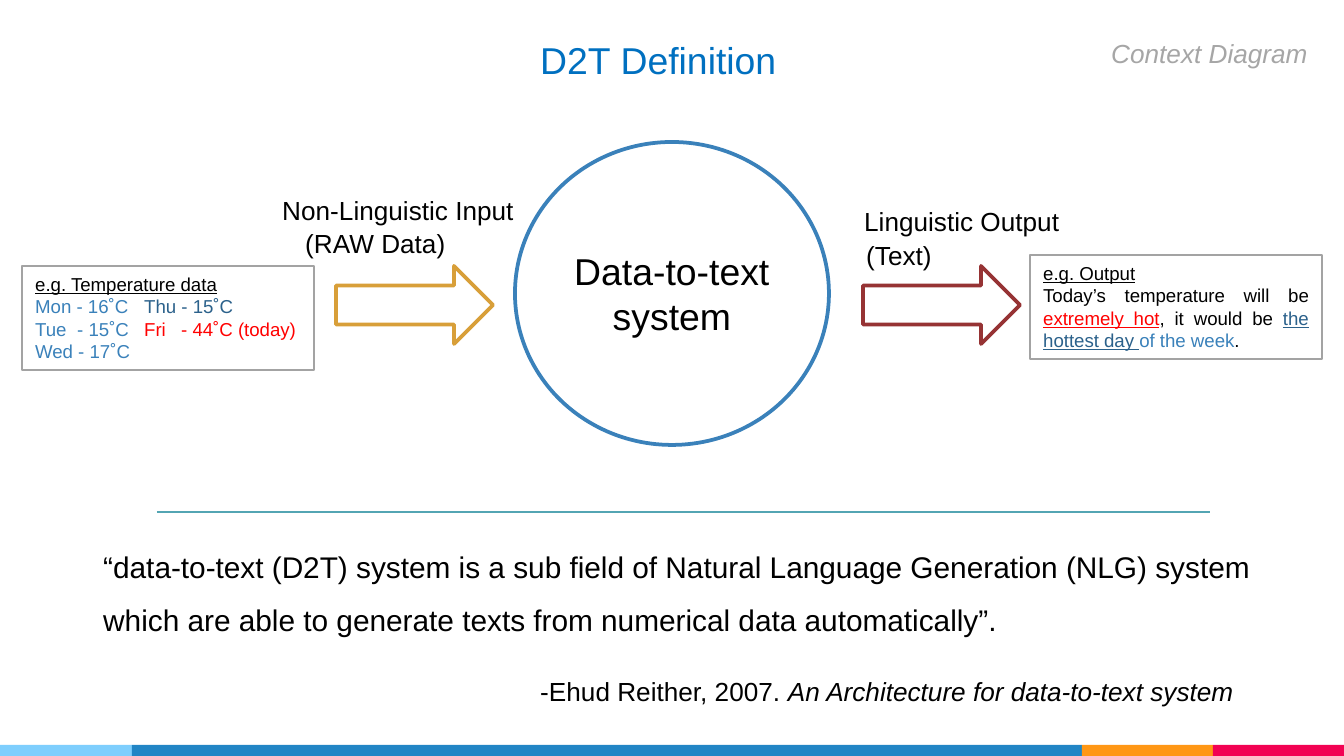
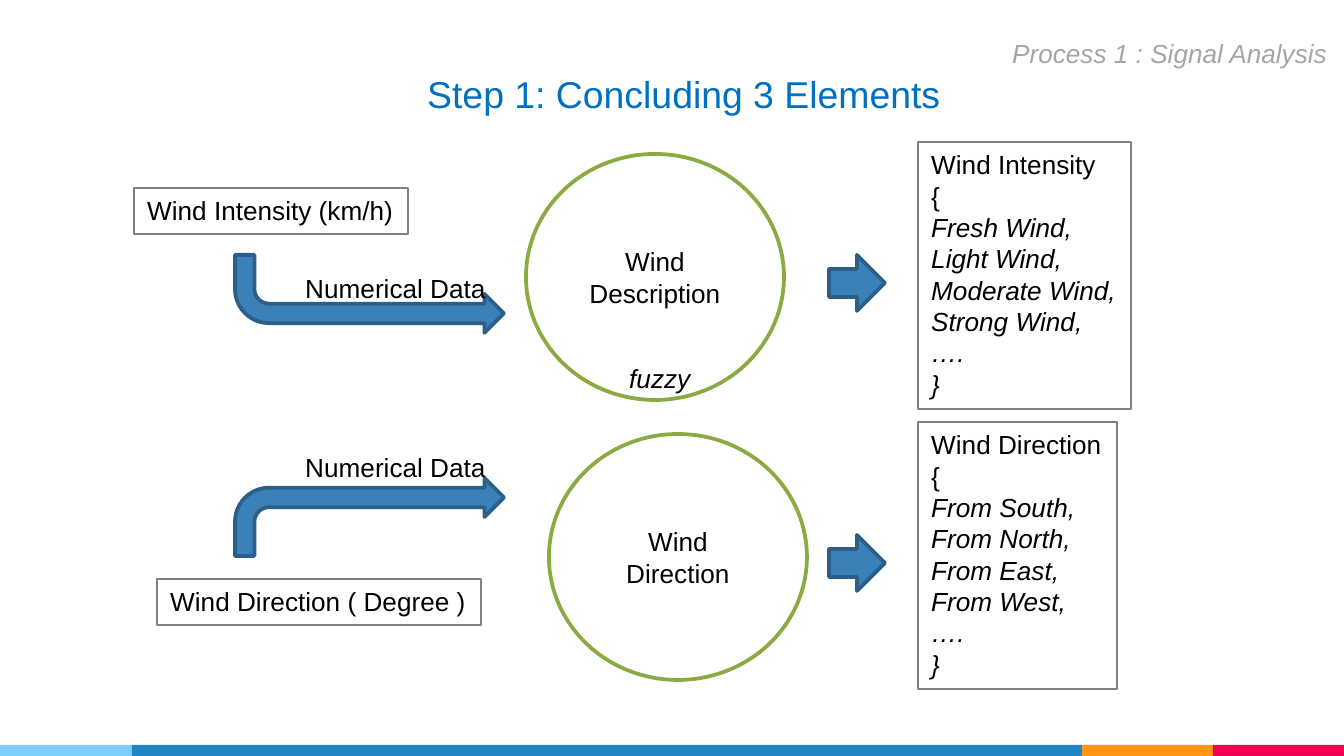
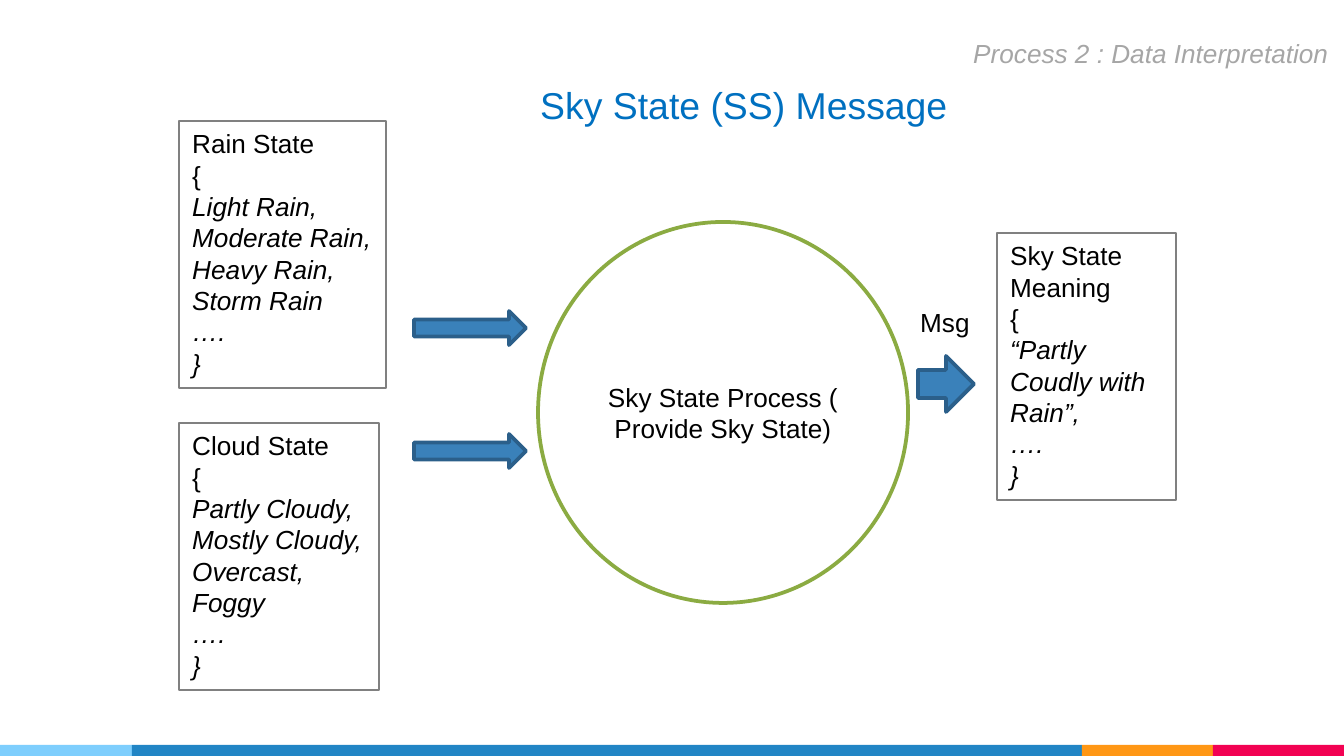
from typing import NamedTuple

from lxml.etree import SubElement
from pptx import Presentation
from pptx.dml.color import RGBColor
from pptx.enum.shapes import MSO_CONNECTOR, MSO_SHAPE
from pptx.enum.text import MSO_ANCHOR, MSO_AUTO_SIZE, PP_ALIGN
from pptx.oxml.ns import qn
from pptx.util import Emu, Pt

PX_PER_INCH = 134.4
FONT = "Arial"
BODY, TITLE, QUOTE, EXAMPLE = 14, 20, 16, 10
COLORS = {
    "black": "000000", "white": "FFFFFF", "title": "0070C0", "tag": "A6A6A6",
    "sky": "7ECEFD", "band": "2185C5", "orange": "FF9715", "pink": "F20253",
    "blue": "3A81BA", "navy": "2B618B", "arrow_edge": "2B5F8A", "red": "FF0000",
    "input": "D89F39", "output": "963334", "rule": "53A5B3", "green": "8BAB42",
    "example_edge": "A3A3A3", "list_edge": "808080",
}


class Box(NamedTuple):
    left: int
    top: int
    width: int
    height: int

    def inner(self, dx, dy, width, height):
        return Box(self.left + dx, self.top + dy, width, height)


class Run(NamedTuple):
    text: str
    color: str = "black"
    italic: bool = False
    underline: bool = False


def px(length):
    return Emu(round(length * 914400 / PX_PER_INCH))


def rgb(name):
    return RGBColor.from_string(COLORS[name])


# Shared building parts

def write(shape, paragraphs, size=BODY, align=PP_ALIGN.LEFT, spacing=None, tabs=()):
    frame = shape.text_frame
    for index, runs in enumerate(paragraphs):
        paragraph = frame.paragraphs[0] if index == 0 else frame.add_paragraph()
        paragraph.alignment = align
        if spacing:
            paragraph.line_spacing = spacing
        if tabs and tabs[index]:
            stops = SubElement(paragraph._p.get_or_add_pPr(), qn("a:tabLst"))
            for stop in tabs[index]:
                SubElement(stops, qn("a:tab"), pos=str(px(stop)), algn="l")
        for part in runs:
            run = paragraph.add_run()
            run.text = part.text
            run.font.name = FONT
            run.font.size = Pt(size)
            run.font.color.rgb = rgb(part.color)
            run.font.italic = part.italic
            run.font.underline = part.underline


def add_figure(slide, kind, box, fill=None, edge=None, weight=2):
    figure = slide.shapes.add_shape(kind, *map(px, box))
    figure.shadow.inherit = False
    if fill:
        figure.fill.solid()
        figure.fill.fore_color.rgb = rgb(fill)
    else:
        figure.fill.background()
    if edge:
        figure.line.color.rgb = rgb(edge)
        figure.line.width = Pt(weight)
    else:
        figure.line.fill.background()
    return figure


def add_label(slide, box, paragraphs, wrap=False, **style):
    label = slide.shapes.add_textbox(*map(px, box))
    label.text_frame.word_wrap = wrap
    label.text_frame.auto_size = MSO_AUTO_SIZE.SHAPE_TO_FIT_TEXT
    write(label, paragraphs, **style)


def add_panel(slide, box, paragraphs, wrap=False, edge="list_edge", **style):
    panel = add_figure(slide, MSO_SHAPE.RECTANGLE, box, edge=edge, weight=0.75)
    panel.text_frame.word_wrap = wrap
    panel.text_frame.auto_size = MSO_AUTO_SIZE.SHAPE_TO_FIT_TEXT
    panel.text_frame.vertical_anchor = MSO_ANCHOR.TOP
    write(panel, paragraphs, **style)


def add_process(slide, box, name, edge="green", size=BODY):
    process = add_figure(slide, MSO_SHAPE.OVAL, box, "white", edge)
    process.text_frame.word_wrap = True
    process.text_frame.vertical_anchor = MSO_ANCHOR.MIDDLE
    write(process, [[Run(name)]], size, PP_ALIGN.CENTER)


def add_flow(slide, box, kind=MSO_SHAPE.RIGHT_ARROW, fill="blue", edge="arrow_edge"):
    return add_figure(slide, kind, box, fill, edge)


def add_states(slide, box, heading, states, wrap=False):
    paragraphs = [[Run(heading)], [Run("{")]]
    paragraphs += [[Run(line, italic=True)] for line in (*states, "….", "}")]
    add_panel(slide, box, paragraphs, wrap)


def footer_band(slide, box):
    left = 0
    for color, width in (("sky", 132), ("band", 950), ("orange", 131), ("pink", 131)):
        add_figure(slide, MSO_SHAPE.RECTANGLE, box.inner(left, 0, width, box.height), color)
        left += width


def start_slide(deck, title, title_box, tag, tag_box):
    slide = deck.slides.add_slide(deck.slide_layouts[6])
    footer_band(slide, Box(0, 745, 1344, 11))
    add_label(slide, title_box, [[Run(title, "title")]], size=TITLE)
    add_label(slide, tag_box, [[Run(tag, "tag", italic=True)]])
    return slide


# Slide 1: definition

def context_diagram(slide, box):
    add_process(slide, box.inner(493, 0, 314, 303), "Data-to-text system", "blue", TITLE)
    for left, edge in ((314, "input"), (841, "output")):
        add_flow(slide, box.inner(left, 124, 157, 78), fill="white", edge=edge)
    for caption, left, top, width in (
        ("Non-Linguistic Input", 247, 46, 259), ("(RAW Data)", 270, 79, 169),
        ("Linguistic Output", 829, 57, 223), ("(Text)", 831, 91, 95),
    ):
        add_label(slide, box.inner(left, top, width, 46), [[Run(caption)]])

    add_panel(slide, box.inner(0, 124, 292, 104), [
        [Run("e.g. Temperature data", underline=True)],
        [Run("Mon - 16˚C\t", "blue"), Run("Thu - 15˚C", "navy")],
        [Run("Tue\t- 15˚C\t", "blue"), Run("Fri\t- 44˚C (today)", "red")],
        [Run("Wed - 17˚C", "blue")],
    ], True, "example_edge", size=EXAMPLE, tabs=((), (109,), (42, 109, 146), ()))
    add_panel(slide, box.inner(1008, 113, 292, 104), [
        [Run("e.g. Output", underline=True)],
        [Run("Today’s temperature will be "), Run("extremely hot", "red", underline=True),
         Run(", it would be "), Run("the hottest day ", "navy", underline=True),
         Run("of the week", "blue"), Run(".")],
    ], True, "example_edge", size=EXAMPLE, align=PP_ALIGN.JUSTIFY)


def quotation(slide, box):
    rule = slide.shapes.add_connector(
        MSO_CONNECTOR.STRAIGHT, px(box.left + 67), px(box.top),
        px(box.left + 1120), px(box.top))
    rule.line.color.rgb = rgb("rule")
    rule.line.width = Pt(0.75)
    SubElement(rule._element.spPr, qn("a:effectLst"))
    add_label(slide, box.inner(0, 12, 1181, 122), [
        [Run("“data-to-text (D2T) system is a sub field of Natural Language Generation (NLG) system")],
        [Run("which are able to generate texts from numerical data automatically”.")],
    ], size=QUOTE, align=PP_ALIGN.JUSTIFY, spacing=1.5)
    add_label(slide, box.inner(437, 157, 726, 46), [[
        Run("-Ehud Reither, 2007. "),
        Run("An Architecture for data-to-text system", italic=True)]])


def definition_slide(deck):
    slide = start_slide(deck, "D2T Definition", Box(527, 31, 266, 59),
                        "Context Diagram", Box(1098, 31, 224, 46))
    context_diagram(slide, Box(22, 142, 1300, 303))
    quotation(slide, Box(90, 512, 1181, 203))


# Slide 2: wind elements

def wind_row(slide, box, measure, measure_box, bend_top, falls, caption_top,
             process, process_left, heading, states, states_width):
    add_panel(slide, box.inner(*measure_box), [[Run(measure)]])
    bend = add_flow(slide, box.inner(101, bend_top, 269, 78), MSO_SHAPE.BENT_ARROW)
    if falls:
        bend._element.spPr.get_or_add_xfrm().set("flipV", "1")
    add_process(slide, box.inner(process_left, 12, 258, 246), process)
    add_label(slide, box.inner(158, caption_top, 208, 46), [[Run("Numerical Data")]])
    add_flow(slide, box.inner(695, 113, 56, 56))
    add_states(slide, box.inner(784, 0, states_width, box.height), heading, states)


def wind_slide(deck):
    slide = start_slide(deck, "Step 1: Concluding 3 Elements", Box(414, 65, 544, 59),
                        "Process 1 : Signal Analysis", Box(999, 31, 345, 46))
    rows = (
        ("Wind Intensity (km/h)", (0, 46, 274, 46), 113, True, 124,
         "Wind Description", 392, "Wind Intensity",
         ("Fresh Wind,", "Light Wind,", "Moderate Wind,", "Strong Wind,"), 213),
        ("Wind Direction ( Degree )", (23, 157, 324, 46), 56, False, 23,
         "Wind Direction", 415, "Wind Direction",
         ("From South,", "From North,", "From East,", "From West,"), 199),
    )
    for index, row in enumerate(rows):
        wind_row(slide, Box(134, 142 + index * 280, 997, 267), *row)
    add_label(slide, Box(616, 356, 89, 46), [[Run("fuzzy", italic=True)]])


# Slide 3: sky state

def sky_inputs(slide, box):
    for heading, states, top, width, flow_top in (
        ("Rain State", ("Light Rain,", "Moderate Rain,", "Heavy Rain,", "Storm Rain"),
         0, 207, 190),
        ("Cloud State", ("Partly Cloudy,", "Mostly Cloudy,", "Overcast,", "Foggy"),
         302, 200, 313),
    ):
        add_states(slide, box.inner(0, top, width, 267), heading, states)
        add_flow(slide, box.inner(235, flow_top, 112, 34))


def sky_result(slide, box):
    add_process(slide, box.inner(0, 0, 370, 381), "Sky State Process ( Provide Sky State)")
    add_flow(slide, box.inner(380, 134, 56, 56))
    add_label(slide, box.inner(369, 78, 90, 46), [[Run("Msg")]], True)
    add_states(slide, box.inner(459, 11, 179, 267), "Sky State Meaning",
               ("“Partly Coudly with Rain”,",), True)


def sky_slide(deck):
    slide = start_slide(deck, "Sky State (SS) Message", Box(527, 76, 437, 59),
                        "Process 2 : Data Interpretation", Box(960, 31, 384, 46))
    sky_inputs(slide, Box(179, 121, 347, 569))
    sky_result(slide, Box(538, 222, 638, 381))


def main():
    deck = Presentation()
    deck.slide_width, deck.slide_height = px(1344), px(756)
    definition_slide(deck)
    wind_slide(deck)
    sky_slide(deck)
    deck.save("out.pptx")


if __name__ == "__main__":
    main()
